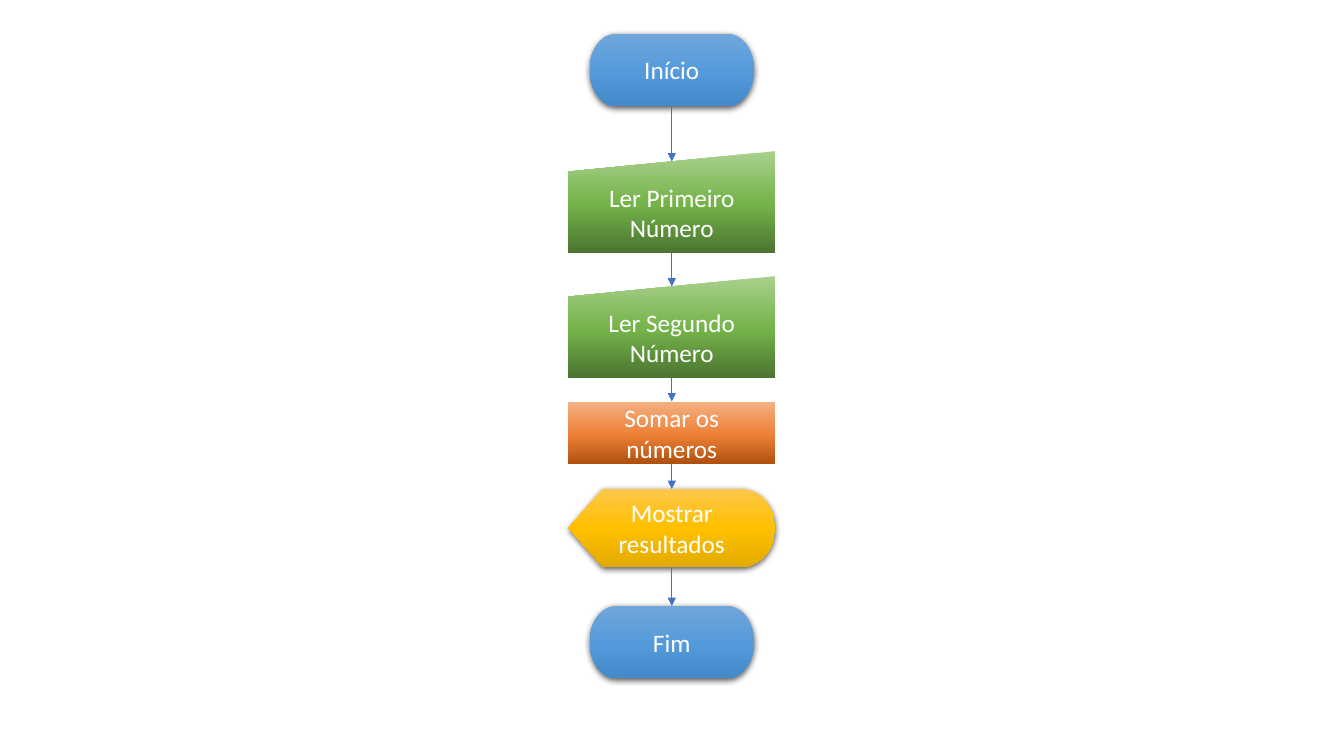
import dataclasses

import lxml.etree
import pptx
import pptx.dml.color
import pptx.enum.shapes
import pptx.enum.text
import pptx.oxml.ns
import pptx.util

Cm = pptx.util.Cm
Pt = pptx.util.Pt
qn = pptx.oxml.ns.qn
Shape = pptx.enum.shapes.MSO_SHAPE


@dataclasses.dataclass(frozen=True)
class Theme:
    """Gradients run from top to bottom as (percent, colour) stops."""
    font: str = "Calibri"
    size: int = 18
    text: str = "FFFFFF"
    arrow: str = "4472C4"
    arrow_width: float = 0.5
    shadow: str = "000000"
    blue: tuple = ((0, "71A6DB"), (50, "559BDB"), (100, "448ACA"))
    green: tuple = ((0, "A9D18E"), (52, "74B349"), (100, "4B7430"))
    orange: tuple = ((0, "F4B183"), (52, "EE8137"), (100, "B0500F"))
    yellow: tuple = ((0, "FFC64B"), (50, "FFC000"), (100, "E3AB00"))


@dataclasses.dataclass(frozen=True)
class Kind:
    """Look of one type of step; lengths in cm, entry is the share of height where arrows land."""
    preset: Shape
    width: float
    height: float
    gradient: tuple
    shadow: bool = False
    entry: float = 0


THEME = Theme()
CENTRE = 16.93
TERMINATOR = Kind(Shape.FLOWCHART_TERMINATOR, 4.14, 1.82, THEME.blue, shadow=True)
INPUT = Kind(Shape.FLOWCHART_MANUAL_INPUT, 5.21, 2.57, THEME.green, entry=0.1)
PROCESS = Kind(Shape.FLOWCHART_PROCESS, 5.21, 1.58, THEME.orange)
DISPLAY = Kind(Shape.FLOWCHART_DISPLAY, 5.21, 1.97, THEME.yellow, shadow=True)

STEPS = (
    (TERMINATOR, 0.85, "Início"),
    (INPUT, 3.81, "Ler Primeiro Número"),
    (INPUT, 6.96, "Ler Segundo Número"),
    (PROCESS, 10.12, "Somar os números"),
    (DISPLAY, 12.32, "Mostrar resultados"),
    (TERMINATOR, 15.27, "Fim"),
)


def rgb(colour):
    return pptx.dml.color.RGBColor.from_string(colour)


def add_xml(parent, tag, **attributes):
    child = lxml.etree.SubElement(parent, qn(tag))
    for name, value in attributes.items():
        child.set(name, str(value))
    return child


def fill_gradient(shape, gradient):
    shape.fill.gradient()
    shape.fill.gradient_angle = 270
    stops = shape._element.spPr.find(".//" + qn("a:gsLst"))
    stops.clear()
    for percent, colour in gradient:
        stop = add_xml(stops, "a:gs", pos=percent * 1000)
        add_xml(stop, "a:srgbClr", val=colour)


def drop_shadow(shape):
    effects = shape._element.spPr.find(qn("a:effectLst"))
    outer = add_xml(effects, "a:outerShdw", blurRad=Pt(4.5), dist=Pt(1.5),
                    dir=5400000, algn="ctr", rotWithShape=0)
    colour = add_xml(outer, "a:srgbClr", val=THEME.shadow)
    add_xml(colour, "a:alpha", val=63000)


def write_label(shape, label):
    frame = shape.text_frame
    frame.word_wrap = True
    frame.vertical_anchor = pptx.enum.text.MSO_ANCHOR.MIDDLE
    frame.text = label
    para = frame.paragraphs[0]
    para.alignment = pptx.enum.text.PP_ALIGN.CENTER
    font = para.runs[0].font
    font.name = THEME.font
    font.size = Pt(THEME.size)
    font.color.rgb = rgb(THEME.text)


def add_step(page, kind, top, label):
    shape = page.shapes.add_shape(kind.preset, Cm(CENTRE - kind.width / 2), Cm(top),
                                  Cm(kind.width), Cm(kind.height))
    fill_gradient(shape, kind.gradient)
    shape.line.fill.background()
    shape.shadow.inherit = False
    if kind.shadow:
        drop_shadow(shape)
    write_label(shape, label)
    return shape


def add_arrow(page, source, target, entry):
    """Join two steps, landing on the target's top edge even where it slopes."""
    arrow = page.shapes.add_connector(pptx.enum.shapes.MSO_CONNECTOR.STRAIGHT, 0, 0, 0, 0)
    arrow.begin_connect(source, 2)
    arrow.end_connect(target, 0)
    arrow.end_y = target.top + int(target.height * entry)
    arrow.line.color.rgb = rgb(THEME.arrow)
    arrow.line.width = Pt(THEME.arrow_width)
    add_xml(arrow.line._get_or_add_ln(), "a:tailEnd", type="triangle")
    add_xml(arrow._element.spPr, "a:effectLst")


def main():
    deck = pptx.Presentation()
    deck.slide_width = Cm(33.87)
    deck.slide_height = Cm(19.05)
    page = deck.slides.add_slide(deck.slide_layouts[6])
    shapes = [add_step(page, *step) for step in STEPS]
    for source, target, step in zip(shapes, shapes[1:], STEPS[1:]):
        add_arrow(page, source, target, step[0].entry)
    deck.save("out.pptx")


if __name__ == "__main__":
    main()
